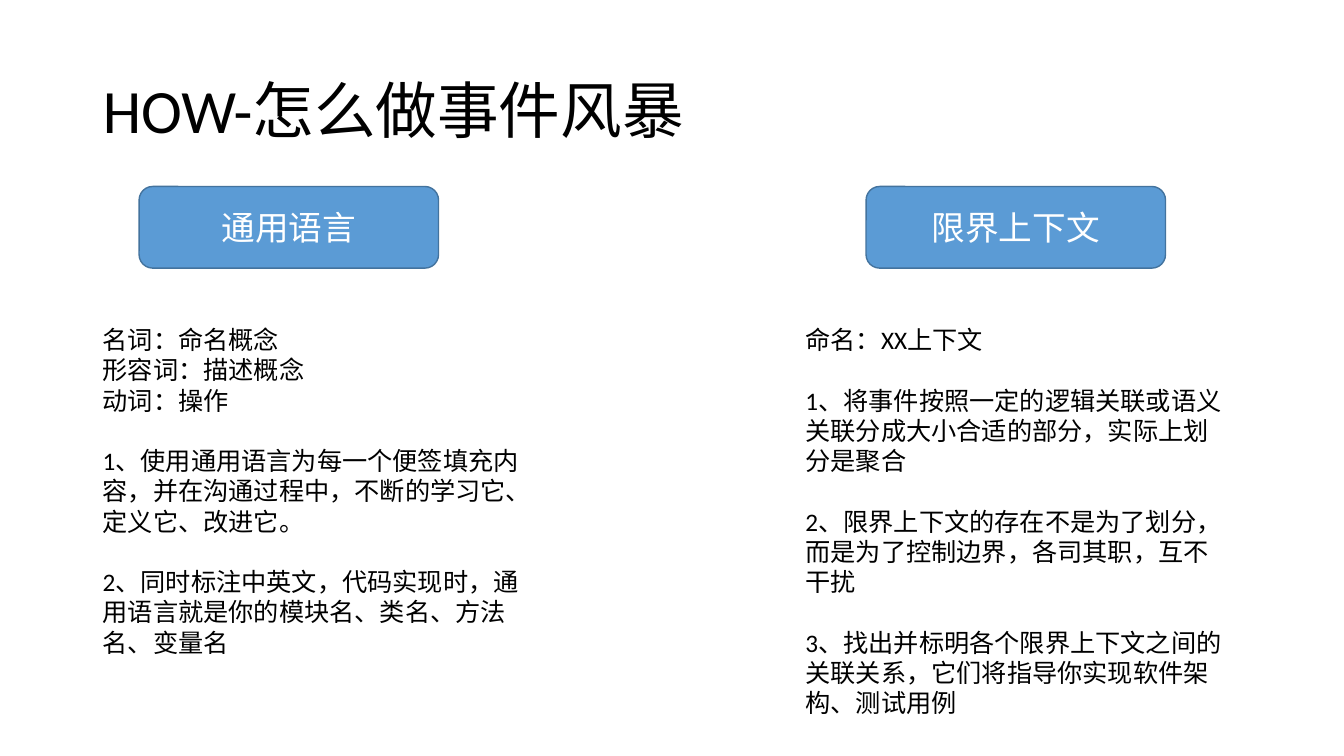
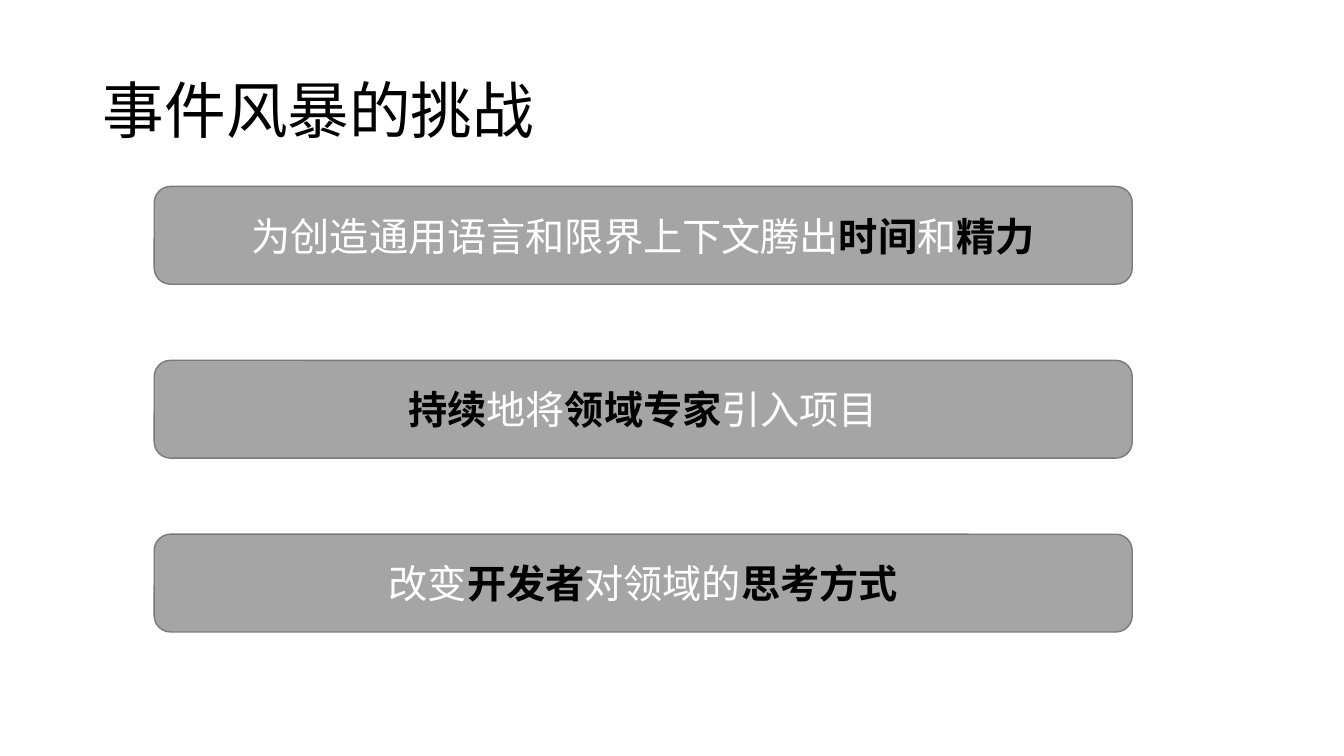
"""Build two slides on event storming: how to do it, and its challenges."""
import pptx
import pptx.util
import pptx.dml.color
import pptx.enum.shapes
import pptx.enum.text

Inches, Pt = pptx.util.Inches, pptx.util.Pt
Align = pptx.enum.text.PP_ALIGN
Anchor = pptx.enum.text.MSO_ANCHOR
Fit = pptx.enum.text.MSO_AUTO_SIZE
COLORS = {"ink": "000000", "light": "FFFFFF", "blue": "5B9BD5",
          "navy": "43739E", "gray": "A5A5A5", "dark": "7A7A7A"}


def color(name):
    return pptx.dml.color.RGBColor.from_string(COLORS[name])


def write(frame, groups, size=18, ink="ink", align=Align.LEFT,
          anchor=Anchor.TOP, fit=Fit.NONE, line=1.0, gap=0):
    """Write groups of lines, a gap between groups; *stars* mark bold ink."""
    frame.word_wrap = True
    frame.auto_size = fit
    frame.vertical_anchor = anchor
    rows = [(text, gap if nth and not pos else 0)
            for nth, group in enumerate(groups)
            for pos, text in enumerate(group)]
    for row, (text, space) in enumerate(rows):
        para = frame.add_paragraph() if row else frame.paragraphs[0]
        para.alignment = align
        para.line_spacing = line
        para.space_before = Pt(space)
        for part, words in enumerate(text.split("*")):
            if words:
                strong = part % 2 == 1
                run = para.add_run()
                run.text = words
                run.font.name = "Calibri"
                run.font.size = Pt(size)
                run.font.bold = strong
                run.font.color.rgb = color("ink" if strong else ink)


class Deck:
    """Hold the shared style and the current slide."""

    def __init__(self):
        self.file = pptx.Presentation()
        self.file.slide_width = Inches(13.33)
        self.file.slide_height = Inches(7.5)
        self.slide = None

    def start(self, title):
        self.slide = self.file.slides.add_slide(self.file.slide_layouts[5])
        head = self.slide.shapes.title
        head.left, head.top = Inches(0.92), Inches(0.4)
        head.width, head.height = Inches(11.5), Inches(1.45)
        write(head.text_frame, [[title]], size=44, line=0.9,
              anchor=Anchor.MIDDLE)

    def box(self, text, left, top, width, height, fill, edge, size):
        shape = self.slide.shapes.add_shape(
            pptx.enum.shapes.MSO_SHAPE.ROUNDED_RECTANGLE,
            Inches(left), Inches(top), Inches(width), Inches(height))
        shape.shadow.inherit = False
        shape.fill.solid()
        shape.fill.fore_color.rgb = color(fill)
        shape.line.color.rgb = color(edge)
        shape.line.width = Pt(1)
        write(shape.text_frame, [[text]], size=size, ink="light",
              align=Align.CENTER, anchor=Anchor.MIDDLE)

    def notes(self, groups, left, top, width, height):
        area = self.slide.shapes.add_textbox(
            Inches(left), Inches(top), Inches(width), Inches(height))
        write(area.text_frame, groups, gap=21.6, fit=Fit.SHAPE_TO_FIT_TEXT)


TOPICS = [
    ("通用语言", 1.38, 0.92, 3.43, [
        ["名词：命名概念", "形容词：描述概念", "动词：操作"],
        ["1、使用通用语言为每一个便签填充内容，并在沟通过程中，"
         "不断的学习它、定义它、改进它。"],
        ["2、同时标注中英文，代码实现时，通用语言就是你的模块名、"
         "类名、方法名、变量名"]]),
    ("限界上下文", 8.59, 7.89, 4.04, [
        ["命名：XX上下文"],
        ["1、将事件按照一定的逻辑关联或语义关联分成大小合适的部分，"
         "实际上划分是聚合"],
        ["2、限界上下文的存在不是为了划分，而是为了控制边界，"
         "各司其职，互不干扰"],
        ["3、找出并标明各个限界上下文之间的关联关系，"
         "它们将指导你实现软件架构、测试用例"]]),
]
HURDLES = [
    "为创造通用语言和限界上下文腾出*时间*和*精力*",
    "*持续*地将*领域专家*引入项目",
    "改变*开发者*对领域的*思考方式*",
]

deck = Deck()
deck.start("HOW-怎么做事件风暴")
for name, left, edge, height, groups in TOPICS:
    deck.notes(groups, edge, 3.17, 4.37, height)
    deck.box(name, left, 1.85, 2.97, 0.81, "blue", "navy", 24)

deck.start("事件风暴的挑战")
for row, text in enumerate(HURDLES):
    deck.box(text, 1.53, 1.85 + row * 1.725, 9.7, 0.97, "gray", "dark", 28)

deck.file.save("out.pptx")
